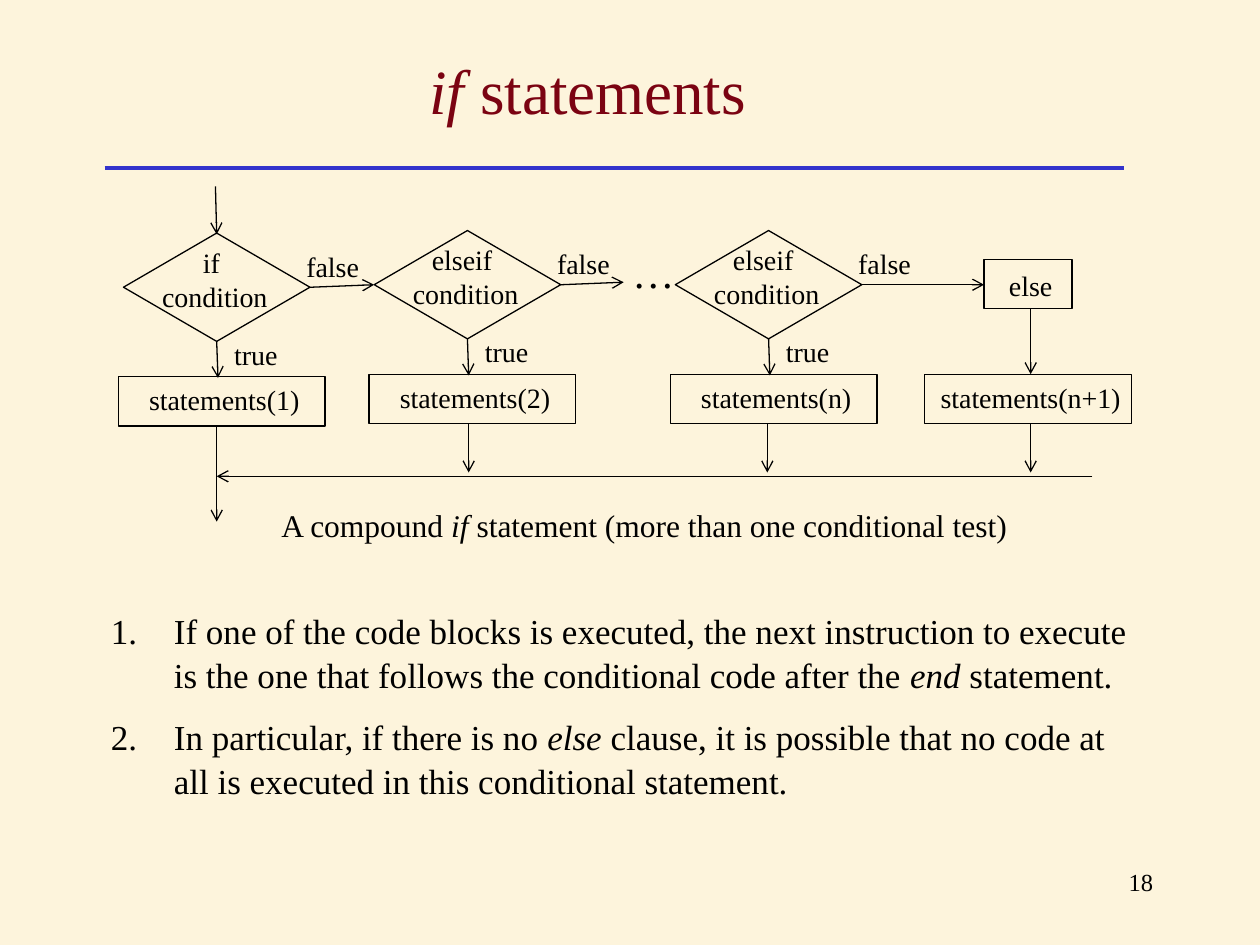
import dataclasses
import pptx
import pptx.dml.color
import pptx.enum.shapes
import pptx.enum.text
import pptx.oxml.ns
import pptx.util
import lxml.etree

Inches = pptx.util.Inches
Pt = pptx.util.Pt
Shape = pptx.enum.shapes.MSO_SHAPE
Align = pptx.enum.text.PP_ALIGN
Anchor = pptx.enum.text.MSO_ANCHOR
qn = pptx.oxml.ns.qn


@dataclasses.dataclass(frozen=True)
class Theme:
    font: str = "Times New Roman"
    paper: str = "FDF4DC"
    ink: str = "000000"
    rule: str = "3333CC"
    head: str = "7B0312"
    title: int = 36
    dots: int = 24
    body: int = 20
    note: int = 18
    label: int = 16
    page: int = 14
    thin: float = 0.75
    thick: float = 2.25


THEME = Theme()


def tint(code):
    return pptx.dml.color.RGBColor.from_string(code)


def place(shape, left, top, width, height):
    shape.left, shape.top = Inches(left), Inches(top)
    shape.width, shape.height = Inches(width), Inches(height)


def add_list_mark(para):
    props = para._p.get_or_add_pPr()
    props.set("marL", str(Inches(0.5)))
    props.set("indent", str(Inches(-0.5)))
    mark = lxml.etree.SubElement(props, qn("a:buAutoNum"))
    mark.set("type", "arabicPeriod")


def write(frame, *lines, size=THEME.label, color=THEME.ink, align=Align.CENTER,
          anchor=Anchor.TOP, wrap=False, listed=False, gap=0, pitch=1.0):
    frame.word_wrap = wrap
    frame.auto_size = pptx.enum.text.MSO_AUTO_SIZE.NONE
    frame.vertical_anchor = anchor
    for row, line in enumerate(lines):
        para = frame.add_paragraph() if row else frame.paragraphs[0]
        if listed:
            add_list_mark(para)
        para.alignment = align
        para.line_spacing = pitch
        para.space_before = Pt(gap if row else 0)
        for part, words in enumerate(line.split("*")):
            if words:
                run = para.add_run()
                run.text = words
                run.font.name = THEME.font
                run.font.size = Pt(size)
                run.font.color.rgb = tint(color)
                run.font.italic = part % 2 == 1


def add_text(slide, left, top, width, height, *lines, **style):
    box = slide.shapes.add_textbox(
        Inches(left), Inches(top), Inches(width), Inches(height))
    write(box.text_frame, *lines, **style)


def add_frame(slide, kind, left, top, width, height):
    shape = slide.shapes.add_shape(
        kind, Inches(left), Inches(top), Inches(width), Inches(height))
    shape.shadow.inherit = False
    shape.fill.background()
    shape.line.color.rgb = tint(THEME.ink)
    shape.line.width = Pt(THEME.thin)


def add_line(slide, start, end, color=THEME.ink, width=THEME.thin, arrow=True):
    line = slide.shapes.add_connector(
        pptx.enum.shapes.MSO_CONNECTOR.STRAIGHT,
        *(Inches(value) for value in (*start, *end)))
    line.line.color.rgb = tint(color)
    line.line.width = Pt(width)
    props = line._element.spPr
    if arrow:
        tip = lxml.etree.SubElement(props.find(qn("a:ln")), qn("a:tailEnd"))
        tip.set("type", "arrow")
    lxml.etree.SubElement(props, qn("a:effectLst"))


def add_block(slide, left, top, words):
    add_frame(slide, Shape.RECTANGLE, left, top, 1.64, 0.39)
    add_text(slide, left + 0.02, top, 1.64, 0.37, words)


def add_test(slide, left, top, word, count, goal):
    mid = left + 0.74
    add_frame(slide, Shape.FLOWCHART_DECISION, left, top, 1.48, 0.86)
    add_text(slide, left + 0.1, top + 0.05, 1.25, 0.64, word + " ", "condition")
    add_line(slide, (mid, top + 0.86), (mid + 0.01, top + 1.15))
    add_block(slide, left - 0.04, top + 1.14, f"statements({count})")
    add_text(slide, mid, top + 0.78, 0.62, 0.37, "true")
    add_text(slide, left + 1.35, top + 0.08, 0.62, 0.37, "false")
    add_line(slide, (left + 1.48, top + 0.43), goal)


def add_chart_flow(slide):
    add_line(slide, (1.71, 1.48), (1.72, 1.86))
    for test in ((0.98, 1.85, "if", "1", (2.97, 2.26)),
                 (2.97, 1.83, "elseif", "2", (4.95, 2.24)),
                 (5.36, 1.83, "elseif", "n", (7.81, 2.26))):
        add_test(slide, *test)
    add_text(slide, 4.92, 1.91, 0.47, 0.5, "…",
             size=THEME.dots, align=Align.LEFT)
    add_frame(slide, Shape.RECTANGLE, 7.81, 2.06, 0.7, 0.39)
    add_text(slide, 7.85, 2.08, 0.66, 0.37, "else")
    add_line(slide, (8.18, 2.45), (8.18, 2.97))
    add_block(slide, 7.34, 2.97, "statements(n+1)")
    add_line(slide, (1.72, 3.39), (1.72, 4.14))
    for mid in (3.72, 6.09, 8.18):
        add_line(slide, (mid, 3.36), (mid, 3.75))
    add_line(slide, (8.67, 3.78), (1.72, 3.78))
    add_text(slide, 2.03, 3.97, 6.17, 0.4,
             "A compound *if* statement (more than one conditional test)",
             size=THEME.note)


def main():
    deck = pptx.Presentation()
    deck.slide_width, deck.slide_height = Inches(10), Inches(7.5)
    slide = deck.slides.add_slide(deck.slide_layouts[1])
    slide.background.fill.solid()
    slide.background.fill.fore_color.rgb = tint(THEME.paper)

    title, body = slide.placeholders
    place(title, 0.58, 0.17, 8.17, 1.08)
    write(title.text_frame, "*if* statements", size=THEME.title,
          color=THEME.head, anchor=Anchor.MIDDLE, wrap=True)
    place(body, 0.78, 4.77, 8.36, 2.03)
    write(body.text_frame,
          "If one of the code blocks is executed, the next instruction to "
          "execute is the one that follows the conditional code after the "
          "*end* statement.",
          "In particular, if there is no *else* clause, it is possible that "
          "no code at all is executed in this conditional statement.",
          size=THEME.body, align=Align.LEFT, wrap=True, listed=True,
          gap=10, pitch=1.05)

    add_line(slide, (0.83, 1.33), (8.92, 1.33), color=THEME.rule,
             width=THEME.thick, arrow=False)
    add_chart_flow(slide)
    add_text(slide, 7.17, 6.83, 2.08, 0.5, "18",
             size=THEME.page, align=Align.RIGHT, wrap=True)
    deck.save("out.pptx")


if __name__ == "__main__":
    main()
